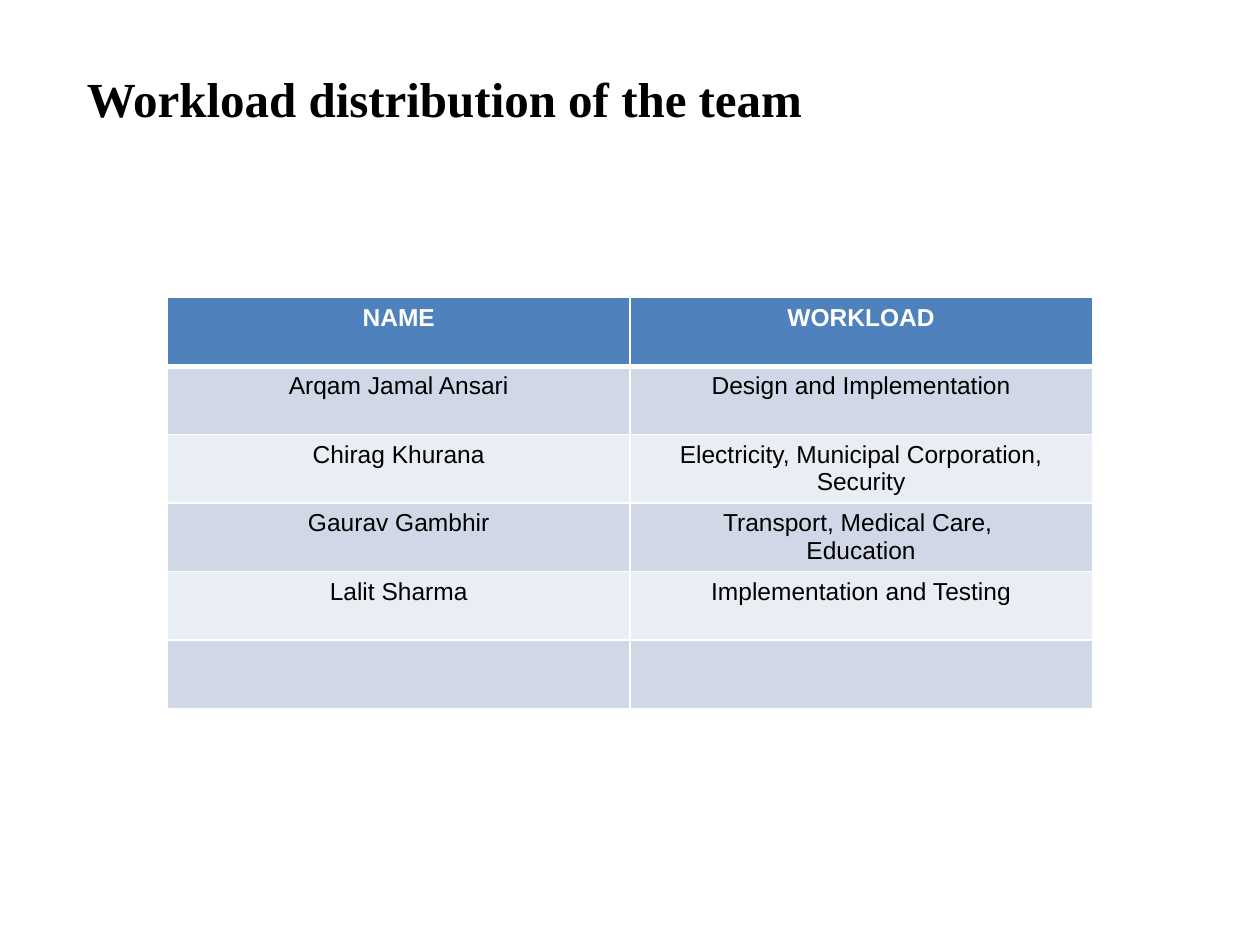
import pptx
import pptx.util
import pptx.dml.color
import pptx.enum.text
import pptx.oxml.ns
import lxml.etree

RGB = pptx.dml.color.RGBColor
ALIGN = pptx.enum.text.PP_ALIGN
BLACK = RGB(0x00, 0x00, 0x00)
WHITE = RGB(0xFF, 0xFF, 0xFF)
BLUE = RGB(0x4F, 0x81, 0xBD)
BANDS = (RGB(0xD0, 0xD8, 0xE8), RGB(0xE9, 0xED, 0xF4))

TITLE = {"name": "Times New Roman", "size": pptx.util.Pt(28), "bold": True}
HEAD = {"name": "Arial", "size": pptx.util.Pt(14), "bold": True}
BODY = {**HEAD, "bold": False}

TEAM = [
    ("NAME", "WORKLOAD"),
    ("Arqam Jamal Ansari", "Design and Implementation"),
    ("Chirag Khurana", "Electricity, Municipal Corporation,\nSecurity"),
    ("Gaurav Gambhir", "Transport, Medical Care, \nEducation"),
    ("Lalit Sharma", "Implementation and Testing"),
    ("", ""),
]


class Deck:
    def __init__(self, wide, high):
        self.show = pptx.Presentation()
        self.show.slide_width = self.wide = pptx.util.Inches(wide)
        self.show.slide_height = self.high = pptx.util.Inches(high)
        self.slide = self.show.slides.add_slide(self.show.slide_layouts[5])

    def box(self, x, y, w, h):
        """Turn shares of the slide's size into lengths."""
        return (int(x * self.wide), int(y * self.high),
                int(w * self.wide), int(h * self.high))

    def style(self, para, form, color, align):
        para.alignment = align
        for key, value in form.items():
            setattr(para.font, key, value)
        para.font.color.rgb = color

    def title(self, text, area):
        shape = self.slide.shapes.title
        shape.left, shape.top, shape.width, shape.height = self.box(*area)
        frame = shape.text_frame
        frame.text = text
        frame.vertical_anchor = pptx.enum.text.MSO_ANCHOR.MIDDLE
        for side in ("left", "top", "right", "bottom"):
            setattr(frame, f"margin_{side}", 0)
        self.style(frame.paragraphs[0], TITLE, BLACK, ALIGN.LEFT)

    def edge(self, cell, side, width):
        qn = pptx.oxml.ns.qn
        props = cell._tc.get_or_add_tcPr()
        line = lxml.etree.SubElement(props, qn(f"a:ln{side}"),
                                     w=str(pptx.util.Pt(width)))
        fill = lxml.etree.SubElement(line, qn("a:solidFill"))
        lxml.etree.SubElement(fill, qn("a:srgbClr"), val=str(WHITE))

    def table(self, rows, area):
        grid = self.slide.shapes.add_table(
            len(rows), len(rows[0]), *self.box(*area)).table
        for r, row in enumerate(rows):
            head = r == 0
            for c, text in enumerate(row):
                cell = grid.cell(r, c)
                cell.text = text
                # Thick rule between the header and the body
                for side in "LRTB":
                    thick = (side == "B" and head) or (side == "T" and r == 1)
                    self.edge(cell, side, 3 if thick else 1)
                cell.fill.solid()
                cell.fill.fore_color.rgb = BLUE if head else BANDS[(r - 1) % 2]
                for para in cell.text_frame.paragraphs:
                    self.style(para, HEAD if head else BODY,
                               WHITE if head else BLACK, ALIGN.CENTER)


def main():
    deck = Deck(10, 7.5)
    # Heading
    deck.title("Workload distribution of the team", (0.069, 0.02, 0.9, 0.167))
    # Team table
    deck.table(TEAM, (0.133, 0.315, 0.734, 0.435))
    deck.show.save("out.pptx")


if __name__ == "__main__":
    main()
